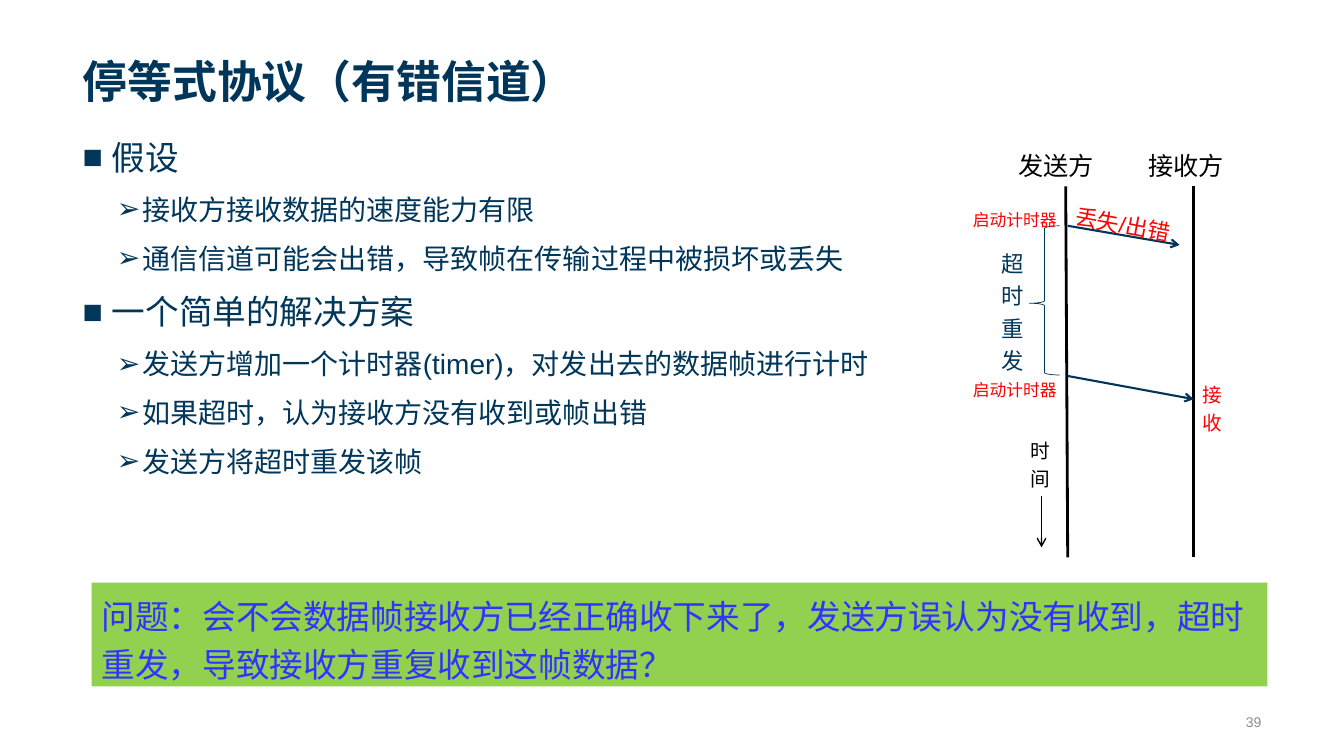
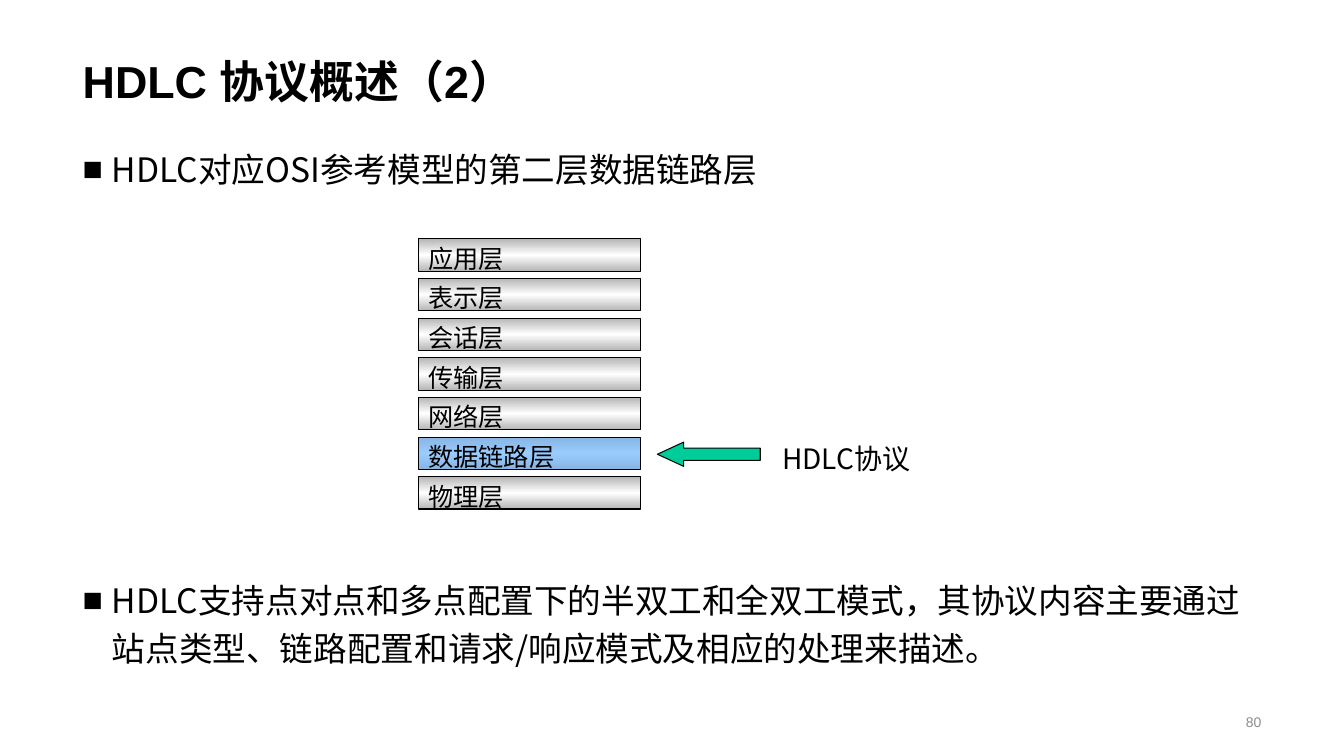
import copy

import lxml.etree
import pptx
import pptx.dml.color
import pptx.enum.shapes
import pptx.enum.text
import pptx.oxml.ns
import pptx.util

Inches = pptx.util.Inches
Pt = pptx.util.Pt
qn = pptx.oxml.ns.qn
Align = pptx.enum.text.PP_ALIGN
Anchor = pptx.enum.text.MSO_ANCHOR
Shape = pptx.enum.shapes.MSO_SHAPE

# Shared look
NAVY, BLACK, RED, GREY = "003659", "000000", "FF0000", "8C8C8C"
LATIN, HAN = "Arial", "Noto Sans CJK SC"
TITLE_BOX = (0.72, 0.14, 11.88, 0.98)
NUMBER_BOX = (11.73, 7.01, 0.88, 0.3)
# Per list level: bullet, text size, left margin, hanging indent
LEVELS = [("■", 24, 0.29, 0.29), ("➢", 20, 0.59, 0.25)]


def rgb(color):
    return pptx.dml.color.RGBColor.from_string(color)


def place(shape, box):
    shape.left, shape.top, shape.width, shape.height = map(Inches, box)


def style_paragraph(paragraph, size, color, font=LATIN, bold=False,
                    spacing=1.2, align=Align.LEFT):
    paragraph.alignment = align
    paragraph.line_spacing = spacing
    for run in paragraph.runs:
        run.font.size, run.font.bold, run.font.name = Pt(size), bold, font
        run.font.color.rgb = rgb(color)
        east_asian = lxml.etree.Element(qn("a:ea"), typeface=HAN)
        run.font._element.find(qn("a:latin")).addnext(east_asian)


def write(shape, text, size, color, anchor=Anchor.TOP, **style):
    frame = shape.text_frame
    frame.text = text
    frame.word_wrap = True
    frame.auto_size = pptx.enum.text.MSO_AUTO_SIZE.NONE
    frame.vertical_anchor = anchor
    style_paragraph(frame.paragraphs[0], size, color, **style)


def add_label(slide, box, text, size, color, **style):
    label = slide.shapes.add_textbox(*map(Inches, box))
    write(label, text, size, color, **style)
    return label


def add_block(shapes, kind, box, fill=None, line=None, weight=0.75):
    block = shapes.add_shape(kind, *map(Inches, box))
    block.shadow.inherit = False
    if fill:
        block.fill.solid()
        block.fill.fore_color.rgb = rgb(fill)
    else:
        block.fill.background()
    if line:
        block.line.color.rgb = rgb(line)
        block.line.width = Pt(weight)
    else:
        block.line.fill.background()
    return block


def add_line(slide, start, end, color, weight, arrow=False):
    line = slide.shapes.add_connector(
        pptx.enum.shapes.MSO_CONNECTOR.STRAIGHT, *map(Inches, start + end))
    line.line.color.rgb = rgb(color)
    line.line.width = Pt(weight)
    properties = line.element.spPr
    if arrow:
        lxml.etree.SubElement(properties.find(qn("a:ln")), qn("a:tailEnd"), type="arrow")
    lxml.etree.SubElement(properties, qn("a:effectLst"))


def fill_list(holder, box, items, color, font=LATIN):
    """Write (level, text) items as a bulleted list."""
    place(holder, box)
    frame = holder.text_frame
    frame.text = "\n".join(text for _, text in items)
    frame.word_wrap = True
    frame.auto_size = pptx.enum.text.MSO_AUTO_SIZE.NONE
    for index, (paragraph, (level, _)) in enumerate(zip(frame.paragraphs, items)):
        bullet, size, margin, hang = LEVELS[level]
        paragraph.level = level
        paragraph.space_before = Pt(6 if index else 0)
        properties = paragraph._p.get_or_add_pPr()
        properties.set("marL", str(Inches(margin)))
        properties.set("indent", str(-Inches(hang)))
        lxml.etree.SubElement(properties, qn("a:buFont"), typeface=LATIN)
        lxml.etree.SubElement(properties, qn("a:buChar"), char=bullet)
        style_paragraph(paragraph, size, color, font)


def start_slide(deck, layout, title, number, color, font):
    """Add a slide with its title and page number."""
    slide = deck.slides.add_slide(deck.slide_layouts[layout])
    place(slide.shapes.title, TITLE_BOX)
    write(slide.shapes.title, title, 32, color, Anchor.BOTTOM,
          font=font, bold=True, spacing=1.0)
    add_label(slide, NUMBER_BOX, number, 10, GREY, anchor=Anchor.MIDDLE,
              spacing=1.0, align=Align.RIGHT)
    return slide


def draw_timeline(slide, left, top):
    """Sender and receiver time lines with a lost frame and its resend."""
    def at(x, y):
        return left + x, top + y

    # Parties
    for x, party in ((0.45, "发送方"), (1.74, "接收方")):
        add_label(slide, (*at(x, 0), 1.1, 0.43), party, 18, BLACK)
    add_line(slide, at(1.02, 0.47), at(1.04, 4.15), BLACK, 2)
    add_line(slide, at(2.29, 0.47), at(2.29, 4.15), BLACK, 2)

    # Frames and passing time
    add_line(slide, at(1.04, 0.86), at(2.15, 1.05), NAVY, 1.5, arrow=True)
    add_line(slide, at(1.04, 2.35), at(2.29, 2.58), NAVY, 1.5, arrow=True)
    add_line(slide, at(0.78, 3.54), at(0.78, 4.05), BLACK, 1, arrow=True)
    add_label(slide, (*at(0.57, 2.88), 0.36, 0.83), "时间", 14, BLACK)

    # Outcome of each frame
    lost = add_label(slide, (*at(1.02, 0.63), 1.35, 0.37), "丢失/出错", 16, RED)
    lost.rotation = 10.6
    add_label(slide, (*at(2.28, 2.32), 0.36, 0.62), "接收", 14, RED)

    # Timeout between the two timer starts
    timeout = add_block(slide.shapes, Shape.LEFT_BRACE, (*at(0.66, 0.86), 0.3, 1.48),
                        line=NAVY, weight=0.5)
    timeout.adjustments[0], timeout.adjustments[1] = 0.083, 0.519
    add_label(slide, (*at(0.28, 1.0), 0.48, 1.3), "超时重发", 16, NAVY)
    for y in (0.61, 2.3):
        add_label(slide, (*at(0, y), 1.04, 0.31), "启动计时器", 12, RED)


def draw_layers(slide, left, top):
    """OSI layer stack with the data link layer pointed out."""
    layers = ["应用层", "表示层", "会话层", "传输层", "网络层", "数据链路层", "物理层"]
    link_layer = "数据链路层"
    pitch, width, height = 2.36 / 6, 2.2, 0.32
    stack = slide.shapes.add_group_shape().shapes
    for row, name in enumerate(layers):
        layer = add_block(stack, Shape.RECTANGLE,
                          (left, top + row * pitch, width, height), line=BLACK)
        edge, middle = ("88B5E2", "99CCFF") if name == link_layer else ("B6B6B6", "FFFFFF")
        shade_across(layer, edge, middle)
        write(layer, name, 18, BLACK, Anchor.MIDDLE)

    link_top = top + layers.index(link_layer) * pitch
    pointer = add_block(slide.shapes, Shape.LEFT_ARROW,
                        (left + 2.37, link_top + 0.05, 1.02, 0.24), "00CC99", BLACK)
    pointer.adjustments[0], pointer.adjustments[1] = 0.5, 1.085
    add_label(slide, (left + 3.51, link_top - 0.07, 2.05, 0.47), "HDLC协议", 20, BLACK,
              font=HAN)


def shade_across(shape, edge, middle):
    """Vertical gradient from edge to middle and back."""
    shape.fill.gradient()
    shape.fill.gradient_angle = 90
    stops = shape.element.spPr.find(qn("a:gradFill")).find(qn("a:gsLst"))
    stops.append(copy.deepcopy(stops[-1]))
    for stop, position, color in zip(shape.fill.gradient_stops, (0, 0.5, 1),
                                     (edge, middle, edge)):
        stop.position = position
        stop.color.rgb = rgb(color)


def build_stop_and_wait(deck):
    slide = start_slide(deck, 1, "停等式协议（有错信道）", "39", NAVY, HAN)
    fill_list(slide.placeholders[1], (0.72, 1.23, 8.01, 5.48), [
        (0, "假设"),
        (1, "接收方接收数据的速度能力有限"),
        (1, "通信信道可能会出错，导致帧在传输过程中被损坏或丢失"),
        (0, "一个简单的解决方案"),
        (1, "发送方增加一个计时器(timer)，对发出去的数据帧进行计时"),
        (1, "如果超时，认为接收方没有收到或帧出错"),
        (1, "发送方将超时重发该帧"),
    ], NAVY)
    draw_timeline(slide, 9.55, 1.38)
    question = add_block(slide.shapes, Shape.RECTANGLE, (0.91, 5.78, 11.66, 1.03), "92D050")
    write(question, "问题：会不会数据帧接收方已经正确收下来了，发送方误认为没有收到，"
          "超时重发，导致接收方重复收到这帧数据？", 24, "3333FF")


def build_hdlc_overview(deck):
    slide = start_slide(deck, 3, "HDLC 协议概述（2）", "80", BLACK, LATIN)
    fill_list(slide.placeholders[1], (0.72, 1.35, 11.54, 0.97),
              [(0, "HDLC对应OSI参考模型的第二层数据链路层")], BLACK, HAN)
    draw_layers(slide, 4.15, 2.37)
    fill_list(slide.placeholders[2], (0.72, 5.62, 11.68, 1.2),
              [(0, "HDLC支持点对点和多点配置下的半双工和全双工模式，其协议内容主要通过"
                   "站点类型、链路配置和请求/响应模式及相应的处理来描述。")], BLACK, HAN)


def main():
    deck = pptx.Presentation()
    deck.slide_width, deck.slide_height = Inches(13.33), Inches(7.5)
    build_stop_and_wait(deck)
    build_hdlc_overview(deck)
    deck.save("out.pptx")


if __name__ == "__main__":
    main()
